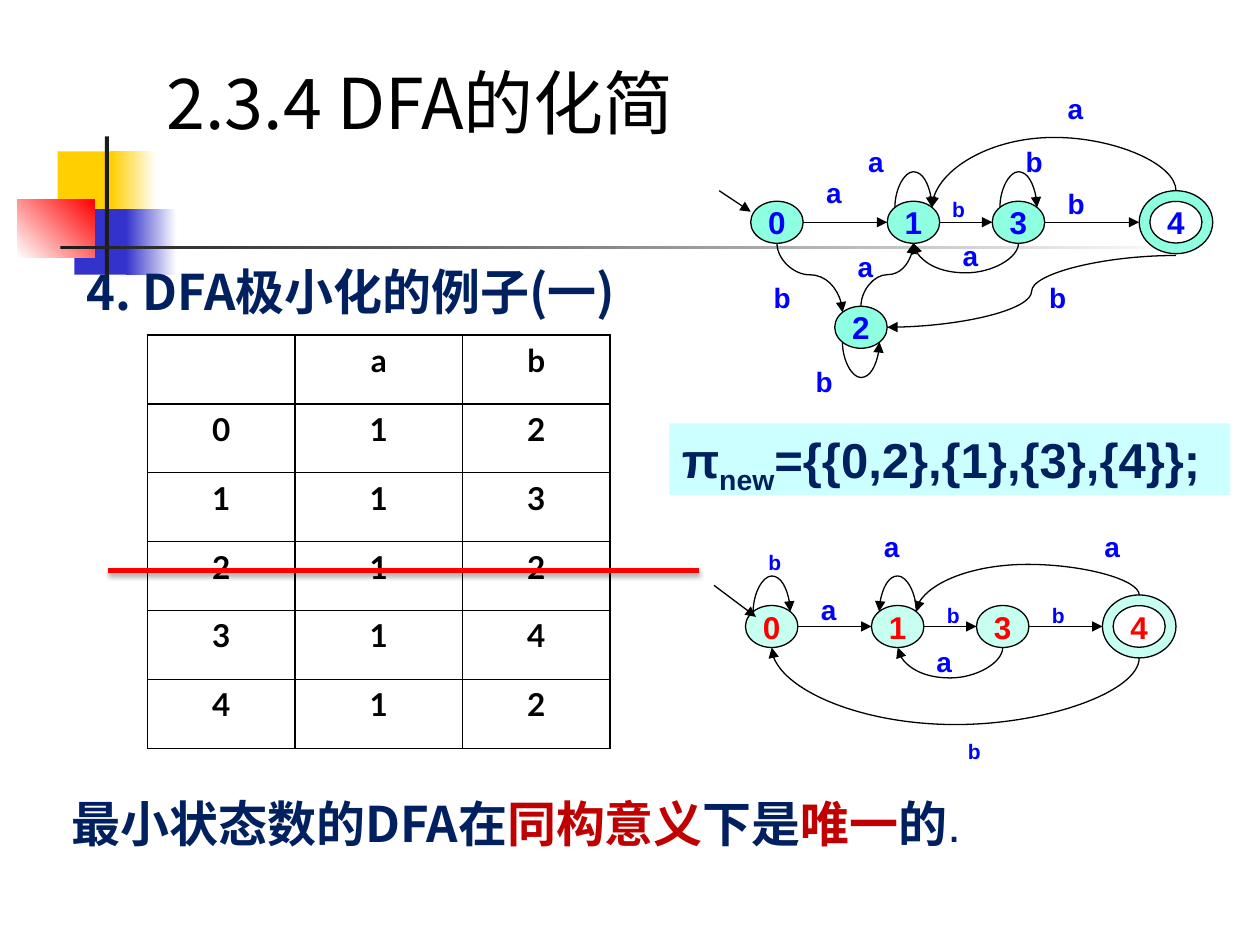
from lxml import etree
from pptx import Presentation
from pptx.dml.color import RGBColor
from pptx.enum.shapes import MSO_CONNECTOR, MSO_SHAPE
from pptx.enum.text import MSO_ANCHOR, MSO_AUTO_SIZE, PP_ALIGN
from pptx.oxml.ns import qn
from pptx.util import Pt

RECT, OVAL, DONUT = MSO_SHAPE.RECTANGLE, MSO_SHAPE.OVAL, MSO_SHAPE.DONUT
STRAIGHT, CURVE = MSO_CONNECTOR.STRAIGHT, MSO_CONNECTOR.CURVE
LEFT, CENTER = PP_ALIGN.LEFT, PP_ALIGN.CENTER
TOP, MIDDLE = MSO_ANCHOR.TOP, MSO_ANCHOR.MIDDLE
GROW, FIXED = MSO_AUTO_SIZE.SHAPE_TO_FIT_TEXT, MSO_AUTO_SIZE.NONE
NAVY, RED, BLUE, BLACK, WHITE = "002060", "C00000", "0000FF", "000000", "FFFFFF"
JP, SC, ARIAL = "Noto Sans CJK JP", "Noto Sans CJK SC", "Arial"


def rgb(value):
    return RGBColor.from_string(value)


def sub(parent, tag, **attrs):
    return etree.SubElement(parent, qn(tag), **attrs)


def add_run(p, text, size=18, font=ARIAL, color=BLACK, bold=True, base=0):
    r = p.add_run()
    r.text = text
    r.font.size, r.font.bold, r.font.name = Pt(size), bold, font
    r.font.color.rgb = rgb(color)
    rpr = r.font._element
    sub(rpr, "a:ea", typeface=font)
    if base:
        rpr.set("baseline", str(base * 1000))


def fill_frame(tf, runs, align=LEFT, anchor=TOP, wrap=True, size=GROW):
    tf.word_wrap, tf.auto_size, tf.vertical_anchor = wrap, size, anchor
    p = tf.paragraphs[0]
    p.alignment, p.space_before = align, Pt(0)
    for text, fmt in runs:
        add_run(p, text, **fmt)


class Deck:
    def __init__(self, prs):
        self.s = prs.slides.add_slide(prs.slide_layouts[5])
        self.shapes = self.s.shapes

    def title(self, text, x, y, w, h, **fmt):
        sp = self.s.shapes.title
        sp.left, sp.top, sp.width, sp.height = Pt(x), Pt(y), Pt(w), Pt(h)
        fill_frame(sp.text_frame, [(text, fmt)], anchor=MIDDLE, size=FIXED)

    def shape(self, kind, x, y, w, h, color, fade=None, angle=0):
        sp = self.shapes.add_shape(kind, Pt(x), Pt(y), Pt(w), Pt(h))
        sp.shadow.inherit = False
        sp.line.fill.background()
        if fade:
            sp.fill.gradient()
            sp.fill.gradient_angle = angle
            for stop, value in zip(sp.fill.gradient_stops, (color, fade)):
                stop.color.rgb = rgb(value)
        else:
            sp.fill.solid()
            sp.fill.fore_color.rgb = rgb(color)
        return sp

    def text(self, runs, x, y, w, h, align=LEFT):
        sp = self.shapes.add_textbox(Pt(x), Pt(y), Pt(w), Pt(h))
        fill_frame(sp.text_frame, runs, align)

    def state(self, name, cx, cy, fill, color, accepting):
        w, h = (42, 36) if accepting else (30, 24)
        sp = self.shape(DONUT if accepting else OVAL, cx - w / 2, cy - h / 2, w, h, fill)
        if accepting:
            sp.adjustments[0] = 0.17
        sp.line.color.rgb = rgb(BLACK)
        sp.line.width = Pt(0.75)
        fill_frame(sp.text_frame, [(name, dict(color=color))], CENTER, MIDDLE, False, FIXED)

    def line(self, start, end, kind=STRAIGHT, color=BLACK, width=0.75, arrow=True):
        sp = self.shapes.add_connector(kind, *(Pt(v) for v in (*start, *end)))
        sp.line.color.rgb = rgb(color)
        sp.line.width = Pt(width)
        if arrow:
            sub(sp.line._get_or_add_ln(), "a:tailEnd", type="triangle")
        sub(sp._element.spPr, "a:effectLst")
        return sp

    def curve(self, start, end, level):
        (x1, y1), (x2, y2) = start, end
        dx, dy = x2 - x1, (y2 - y1) or 0.12
        cx, cy = (x1 + x2) / 2, (y1 + y2) / 2
        sp = self.line((cx - dy / 2, cy + dx / 2), (cx + dy / 2, cy - dx / 2), CURVE)
        sppr = sp._element.spPr
        sppr.find(qn("a:xfrm")).set("rot", "5400000")
        guides = sppr.find(qn("a:prstGeom")).find(qn("a:avLst"))
        sub(guides, "a:gd", name="adj1", fmla=f"val {round((level - y1) / dy * 100000)}")

    def loop(self, cx, cy, side=-1, direction=1):
        dx, y = 10.6 * direction, cy + 8.5 * side
        self.curve((cx - dx, y), (cx + dx, y), cy + 30 * side)

    def table(self, rows, x, y, widths, height):
        frame = self.shapes.add_table(len(rows), len(widths), Pt(x), Pt(y),
                                      Pt(sum(widths)), Pt(height * len(rows)))
        for column, width in zip(frame.table.columns, widths):
            column.width = Pt(width)
        for i, row in enumerate(rows):
            for j, text in enumerate(row):
                self.cell(frame.table.cell(i, j), text)

    def cell(self, cell, text):
        tcpr = cell._tc.get_or_add_tcPr()
        for side in ("a:lnL", "a:lnR", "a:lnT", "a:lnB"):
            ln = sub(tcpr, side, w=str(Pt(1)))
            sub(sub(ln, "a:solidFill"), "a:srgbClr", val=BLACK)
        cell.fill.background()
        p = cell.text_frame.paragraphs[0]
        p.alignment = CENTER
        if text:
            add_run(p, text, font="Lato")

    def automaton(self, fill, color, states, chain, curves, loops, labels):
        self.shapes = self.s.shapes.add_group_shape().shapes
        for name, (cx, cy) in states.items():
            self.state(name, cx, cy, fill, color, name == "4")
        for a, b in zip(chain, chain[1:]):
            (ax, ay), (bx, by) = states[a], states[b]
            self.line((ax + 15, ay), (bx - (21 if b == "4" else 15), by))
        for start, end, level in curves:
            self.curve(start, end, level)
        for name, side, direction in loops:
            self.loop(*states[name], side, direction)
        for text, size, x, y in labels:
            self.text([(text, dict(size=size, color=BLUE))], x, y, 30, size + 10)


def main():
    prs = Presentation()
    prs.slide_width, prs.slide_height = Pt(720), Pt(540)
    d = Deck(prs)

    for x, y, w, h, *colors in (
        (33, 86.5, 35, 37.5, "FFCF01"), (63.5, 86.5, 26, 37.5, "FFCF01", WHITE),
        (42.5, 119.5, 33, 37.5, "3333CC"), (72, 119.5, 29, 37.5, "3333CC", WHITE),
        (10, 113.8, 44, 33.2, WHITE, "FF0000", 45), (60, 78, 2.2, 83, "1C1C1C"),
        (34.5, 140.4, 648, 2.2, "1C1C1C", WHITE),
    ):
        d.shape(RECT, x, y, w, h, *colors)

    d.title("2.3.4 DFA的化简", 88, 31.5, 422, 52.5, size=40, font=JP, bold=False)
    d.text([("4. DFA极小化的例子(一)", dict(size=28, font=JP, color=NAVY))],
           0, 146, 401, 41, CENTER)
    navy = dict(size=28, font=SC, color=NAVY)
    red = dict(navy, color=RED)
    d.text([("最小状态数的DFA在", navy), ("同构意义", red), ("下是", navy), ("唯一", red),
            ("的", navy), (".", dict(navy, font=ARIAL, bold=False))], 34, 450, 646.5, 41)
    d.table([("", "a", "b"), "012", "113", "212", "314", "412"],
            84.2, 191.4, (84.5, 95.5, 84.5), 39.4)

    strike = d.line((62, 326.2), (399.6, 326.2), color="FF0000", width=3, arrow=False)
    effects = strike._element.spPr.find(qn("a:effectLst"))
    shadow = sub(effects, "a:outerShdw", blurRad=str(Pt(3.1)), dist=str(Pt(1.8)),
                 dir="5400000", rotWithShape="0")
    sub(sub(shadow, "a:srgbClr", val=BLACK), "a:alpha", val="35000")

    sp = d.shape(RECT, 382.5, 242, 320.5, 41, "CCFFFF")
    base = dict(size=28, color=NAVY)
    fill_frame(sp.text_frame, [("π", base), ("new", dict(base, base=-25)),
                               ("={{0,2},{1},{3},{4}};", base)])

    d.automaton(
        "C7FFF0", "FF0000",
        {"0": (441, 358), "1": (513, 358), "3": (573, 358), "4": (651, 358)}, "0134",
        [((651, 376), (441, 370), 414), ((573, 370), (513, 370), 388.5),
         ((651, 340), (523.6, 349.5), 322.5)],
        [("0", -1, 1), ("1", -1, -1)],
        [("a", 16, 462, 335), ("a", 16, 528, 364.5), ("a", 16, 624, 299),
         ("a", 16, 498, 299), ("b", 12, 534, 340.5), ("b", 12, 432, 310.5),
         ("b", 12, 594, 340.5), ("b", 12, 546, 418.5)])
    d.line((408, 334.5), (432, 352.5))

    d.automaton(
        "8EFFE1", BLUE,
        {"0": (444, 127), "1": (522, 127), "3": (582, 127), "2": (492, 187),
         "4": (672, 127)}, "0134",
        [((444, 139), (481.5, 178.5), 157), ((492, 175), (522, 139), 157),
         ((582, 139), (522, 139), 157), ((672, 109), (532.6, 118.5), 78.5)],
        [("1", -1, 1), ("3", -1, 1), ("2", 1, 1)],
        [("a", 16, 483, 139), ("a", 16, 603, 49), ("a", 16, 543, 133),
         ("a", 16, 489, 79), ("a", 16, 465, 97), ("b", 16, 459, 205),
         ("b", 16, 579, 79), ("b", 16, 603, 103), ("b", 16, 435, 157),
         ("b", 12, 537, 108.5), ("b", 16, 592.5, 157)])
    d.line((411, 109), (429, 121))
    d.line((672, 146), (507, 187), CURVE)
    prs.save("out.pptx")


if __name__ == "__main__":
    main()
